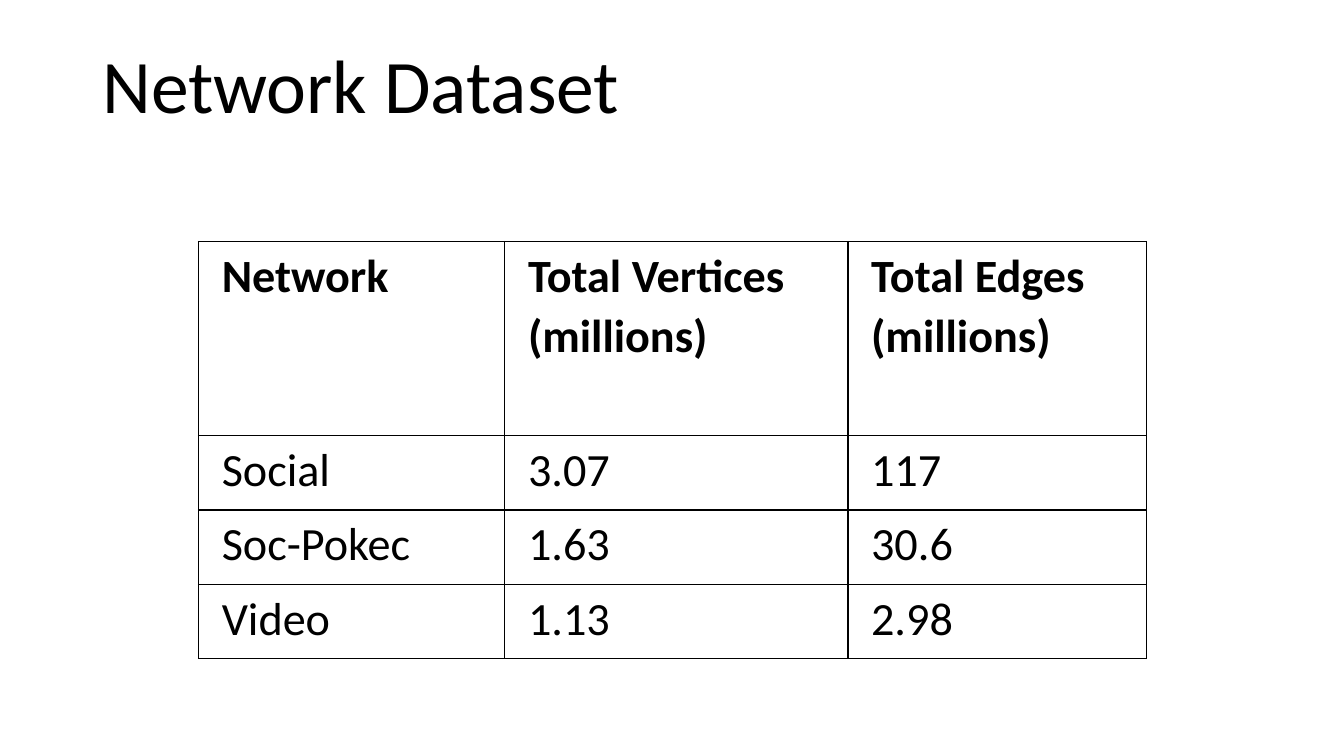
from dataclasses import dataclass

from lxml import etree
from pptx import Presentation
from pptx.dml.color import RGBColor
from pptx.enum.text import MSO_ANCHOR
from pptx.oxml.ns import qn
from pptx.slide import Slide
from pptx.table import _Cell
from pptx.text.text import TextFrame
from pptx.util import Inches, Pt

BOTTOM = MSO_ANCHOR.BOTTOM
TOP = MSO_ANCHOR.TOP
BLANK_LAYOUT = 6
UNIT = Inches(1) / 12


@dataclass(frozen=True)
class Theme:
    font: str = "Calibri"
    ink: str = "000000"
    title_size: float = 54
    table_size: float = 33
    border_width: float = 1


@dataclass(frozen=True)
class Box:
    col: float
    row: float
    cols: float
    rows: float


@dataclass(frozen=True)
class Network:
    name: str
    vertices: str
    edges: str


THEME = Theme()
HEADER = Network("Network", "Total Vertices (millions)", "Total Edges (millions)")
NETWORKS = [
    Network("Social", "3.07", "117"),
    Network("Soc-Pokec", "1.63", "30.6"),
    Network("Video", "1.13", "2.98"),
]
TITLE_BOX = Box(11, 3.84, 138, 12.24)
TABLE_COL, TABLE_ROW = 23.64, 28.75
COLUMN_SPANS = [36.46, 40.85, 35.5]
HEADER_ROWS, BODY_ROWS = 23.1, 8.86
CELL_SIDE, CELL_TOP = 2.76, 0.36


def grid(units: float) -> int:
    return round(units * UNIT)


def set_text(tf: TextFrame, text: str, size: float, spacing: float, bold: bool = False) -> None:
    tf.text = text
    tf.word_wrap = True
    p = tf.paragraphs[0]
    p.line_spacing = spacing
    font = p.runs[0].font
    font.name = THEME.font
    font.size = Pt(size)
    font.bold = bold
    font.color.rgb = RGBColor.from_string(THEME.ink)


def add_borders(cell: _Cell) -> None:
    tc_pr = cell._tc.get_or_add_tcPr()
    for side in ("lnL", "lnR", "lnT", "lnB"):
        ln = etree.SubElement(tc_pr, qn(f"a:{side}"), w=str(Pt(THEME.border_width)))
        fill = etree.SubElement(ln, qn("a:solidFill"))
        etree.SubElement(fill, qn("a:srgbClr"), val=THEME.ink)


def add_title(slide: Slide, text: str, box: Box) -> None:
    sp = slide.shapes.add_textbox(grid(box.col), grid(box.row), grid(box.cols), grid(box.rows))
    set_text(sp.text_frame, text, THEME.title_size, 0.9)
    sp.text_frame.vertical_anchor = BOTTOM


def fill_cell(cell: _Cell, text: str, bold: bool) -> None:
    add_borders(cell)
    cell.fill.background()
    cell.margin_left = cell.margin_right = grid(CELL_SIDE)
    cell.margin_top = grid(CELL_TOP)
    cell.margin_bottom = 0
    cell.vertical_anchor = TOP
    set_text(cell.text_frame, text, THEME.table_size, 1.07, bold)


def add_network_table(slide: Slide, networks: list[Network]) -> None:
    records = [HEADER, *networks]
    row_spans = [HEADER_ROWS] + [BODY_ROWS] * len(networks)
    table = slide.shapes.add_table(
        len(records), len(COLUMN_SPANS), grid(TABLE_COL), grid(TABLE_ROW),
        grid(sum(COLUMN_SPANS)), grid(sum(row_spans)),
    ).table
    table.horz_banding = False
    for column, span in zip(table.columns, COLUMN_SPANS):
        column.width = grid(span)
    for row, span, record in zip(table.rows, row_spans, records):
        row.height = grid(span)
        for cell, text in zip(row.cells, (record.name, record.vertices, record.edges)):
            fill_cell(cell, text, record is HEADER)


def main() -> None:
    prs = Presentation()
    prs.slide_width = grid(160)
    prs.slide_height = grid(90)
    slide = prs.slides.add_slide(prs.slide_layouts[BLANK_LAYOUT])
    add_title(slide, "Network Dataset", TITLE_BOX)
    add_network_table(slide, NETWORKS)
    prs.save("out.pptx")


if __name__ == "__main__":
    main()
